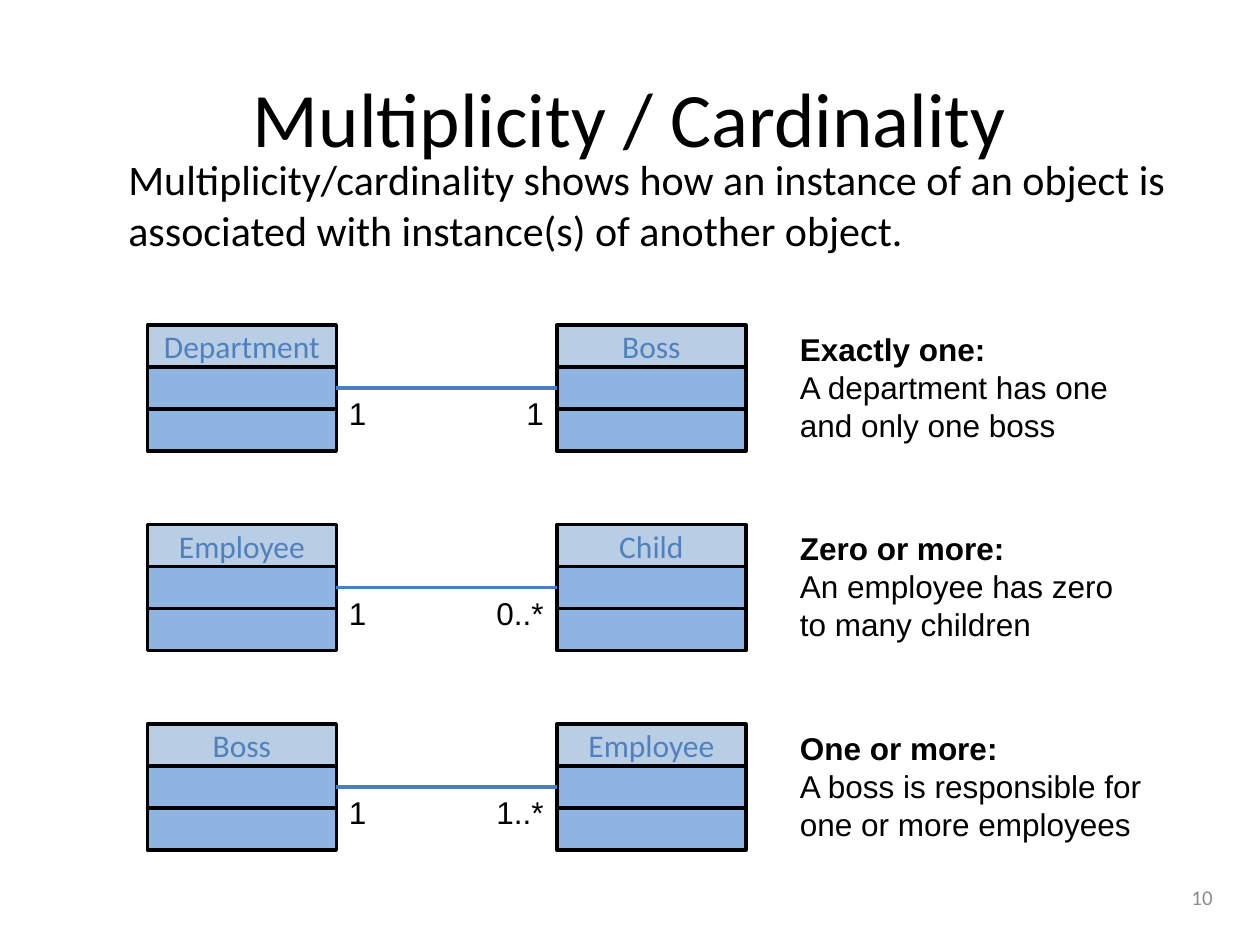
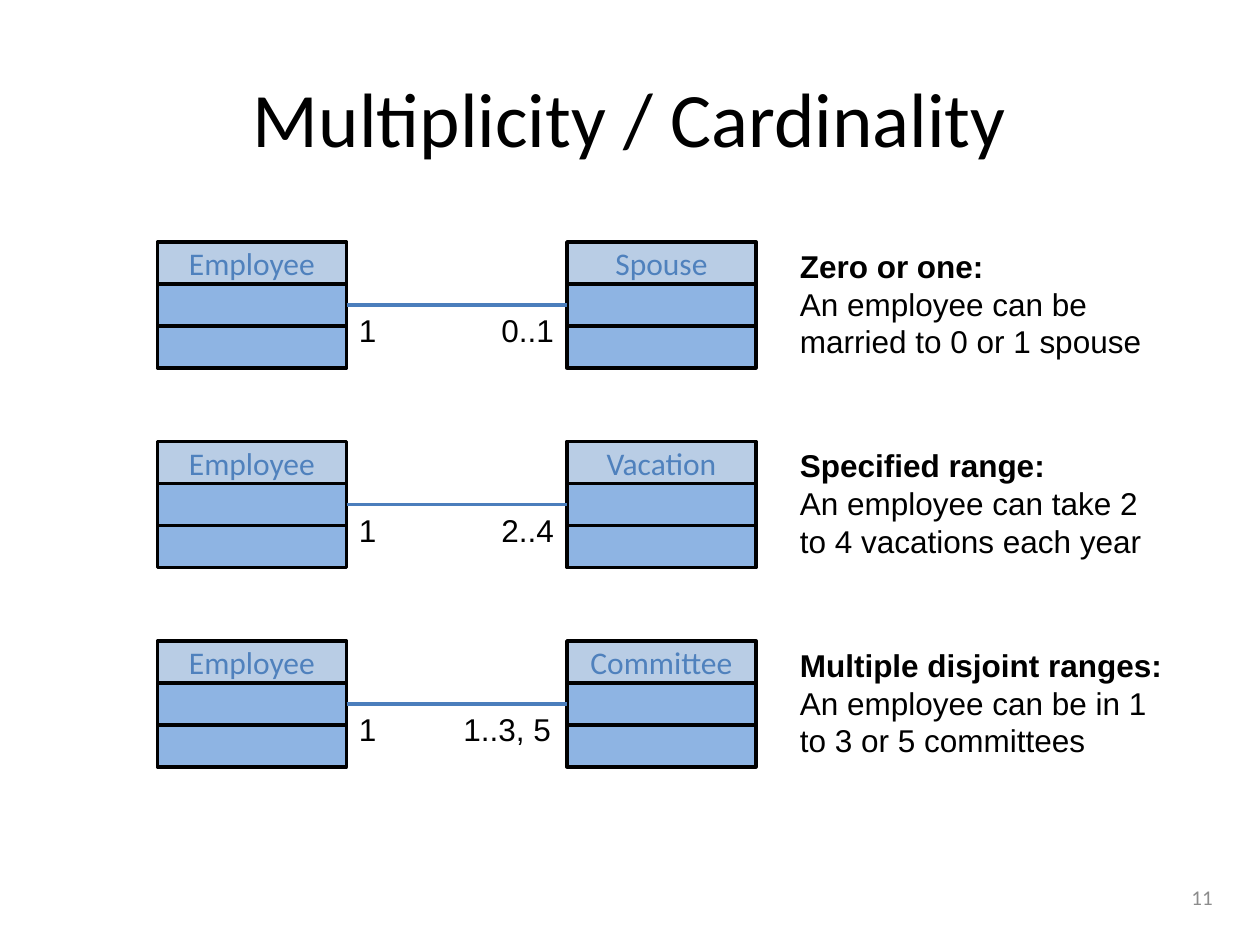
from dataclasses import dataclass

from lxml import etree
from pptx import Presentation
from pptx import util as u
from pptx.dml.color import RGBColor
from pptx.enum import shapes, text
from pptx.oxml.ns import qn

# Shared look
BLACK = RGBColor(0x00, 0x00, 0x00)
GREY = RGBColor(0x8C, 0x8C, 0x8C)
NAME_FILL = RGBColor(0xB9, 0xCD, 0xE5)
BODY_FILL = RGBColor(0x8E, 0xB4, 0xE3)
NAME_TEXT = RGBColor(0x4F, 0x81, 0xBD)
LINK_BLUE = RGBColor(0x4B, 0x7E, 0xBC)
HEADING_FONT = "Calibri"
LABEL_FONT = "Arial"
LINE_WIDTH = u.Pt(2)

# Diagram grid
CLASS_WIDTH = u.Inches(1.5)
COMPARTMENT_HEIGHT = u.Inches(1) // 3
CLASS_DISTANCE = u.Inches(3.25)
ROW_PITCH = u.Inches(19) // 12
LABEL_HEIGHT = u.Inches(0.4)
SOURCE_LABEL_WIDTH = u.Inches(0.34)
NOTE_LEFT = u.Inches(6.25)
NOTE_RISE = u.Inches(0.01)
NOTE_HEIGHT = u.Inches(1.01)

TITLE = "Multiplicity / Cardinality"
INTRO = ("Multiplicity/cardinality shows how an instance of an object is "
         "associated with instance(s) of another object.")


@dataclass(frozen=True)
class Association:
    source: str
    target: str
    multiplicity: str
    label_width: float
    heading: str
    meaning: str
    note_width: float = 2.92


@dataclass(frozen=True)
class Diagram:
    number: int
    left: float
    top: float
    associations: tuple[Association, ...]
    intro: str = ""


DIAGRAMS = (
    Diagram(10, 1.17, 2.58, (
        Association("Department", "Boss", "1", 0.34, "Exactly one:",
                    "A department has one and only one boss"),
        Association("Employee", "Child", "0..*", 0.58, "Zero or more:",
                    "An employee has zero to many children"),
        Association("Boss", "Employee", "1..*", 0.58, "One or more:",
                    "A boss is responsible for one or more employees"),
    ), INTRO),
    Diagram(11, 1.25, 1.92, (
        Association("Employee", "Spouse", "0..1", 0.62, "Zero or one:",
                    "An employee can be married to 0 or 1 spouse"),
        Association("Employee", "Vacation", "2..4", 0.62, "Specified range:",
                    "An employee can take 2 to 4 vacations each year"),
        Association("Employee", "Committee", "1..3, 5", 0.92,
                    "Multiple disjoint ranges:",
                    "An employee can be in 1 to 3 or 5 committees", 3.08),
    )),
)


def style_para(para, size: int, font: str, color: RGBColor,
               bold: bool = False, centred: bool = False) -> None:
    para.alignment = text.PP_ALIGN.CENTER if centred else text.PP_ALIGN.LEFT
    for span in para.runs:
        span.font.size = u.Pt(size)
        span.font.name = font
        span.font.color.rgb = color
        span.font.bold = bold


def add_text(page, left: int, top: int, width: int, height: int,
             lines: tuple[str, ...], size: int, font: str,
             color: RGBColor = BLACK, wrap: bool = True,
             centred: bool = False, bold_first: bool = False) -> None:
    """Centred text is also anchored in the middle; other boxes fit their text."""
    box = page.shapes.add_textbox(left, top, width, height)
    frame = box.text_frame
    frame.text = "\n".join(lines)
    frame.word_wrap = wrap
    if centred:
        frame.vertical_anchor = text.MSO_ANCHOR.MIDDLE
    else:
        frame.auto_size = text.MSO_AUTO_SIZE.SHAPE_TO_FIT_TEXT
    for index, para in enumerate(frame.paragraphs):
        style_para(para, size, font, color, bold_first and index == 0, centred)


def add_class(page, left: int, top: int, name: str):
    """Draw a three-part class and return its middle compartment."""
    group = page.shapes.add_group_shape()
    compartments = []
    for index, fill in enumerate((NAME_FILL, BODY_FILL, BODY_FILL)):
        box = group.shapes.add_shape(
            shapes.MSO_SHAPE.RECTANGLE, left, top + index * COMPARTMENT_HEIGHT,
            CLASS_WIDTH, COMPARTMENT_HEIGHT)
        box.shadow.inherit = False
        box.fill.solid()
        box.fill.fore_color.rgb = fill
        box.line.color.rgb = BLACK
        box.line.width = LINE_WIDTH
        compartments.append(box)
    frame = compartments[0].text_frame
    frame.text = name
    frame.vertical_anchor = text.MSO_ANCHOR.MIDDLE
    style_para(frame.paragraphs[0], 18, HEADING_FONT, NAME_TEXT, centred=True)
    return compartments[1]


def add_link(page, source, target) -> None:
    link = page.shapes.add_connector(shapes.MSO_CONNECTOR.STRAIGHT, 0, 0, 0, 0)
    link.begin_connect(source, 3)
    link.end_connect(target, 1)
    link.line.color.rgb = LINK_BLUE
    link.line.width = LINE_WIDTH
    etree.SubElement(link._element.spPr, qn("a:effectLst"))


def add_association(page, left: int, top: int, item: Association) -> None:
    # Two classes and the line between them
    target_left = left + CLASS_DISTANCE
    source = add_class(page, left, top, item.source)
    target = add_class(page, target_left, top, item.target)
    add_link(page, source, target)

    # Multiplicities under the ends of the line
    label_top = source.top + COMPARTMENT_HEIGHT // 2
    label_width = u.Inches(item.label_width)
    add_text(page, left + CLASS_WIDTH, label_top, SOURCE_LABEL_WIDTH,
             LABEL_HEIGHT, ("1",), 18, LABEL_FONT, wrap=False)
    add_text(page, target_left - label_width, label_top, label_width,
             LABEL_HEIGHT, (item.multiplicity,), 18, LABEL_FONT, wrap=False)

    # Explanation
    add_text(page, NOTE_LEFT, top - NOTE_RISE, u.Inches(item.note_width),
             NOTE_HEIGHT, (item.heading, item.meaning), 18, LABEL_FONT,
             bold_first=True)


def add_page(deck, diagram: Diagram) -> None:
    page = deck.slides.add_slide(deck.slide_layouts[6])
    add_text(page, u.Inches(0.5), u.Inches(0.3), u.Inches(9), u.Inches(1.25),
             (TITLE,), 44, HEADING_FONT, centred=True)
    for row, item in enumerate(diagram.associations):
        add_association(page, u.Inches(diagram.left),
                        u.Inches(diagram.top) + row * ROW_PITCH, item)
    if diagram.intro:
        add_text(page, u.Inches(0.92), u.Inches(1.17), u.Inches(8.58),
                 u.Inches(0.91), (diagram.intro,), 24, HEADING_FONT)
    # Page number
    add_text(page, u.Inches(9.25), u.Inches(6.92), u.Inches(0.58),
             u.Inches(0.4), (str(diagram.number),), 12, HEADING_FONT, GREY,
             centred=True)


def main() -> None:
    deck = Presentation()
    deck.slide_width = u.Inches(10)
    deck.slide_height = u.Inches(7.5)
    for diagram in DIAGRAMS:
        add_page(deck, diagram)
    deck.save("out.pptx")


if __name__ == "__main__":
    main()
